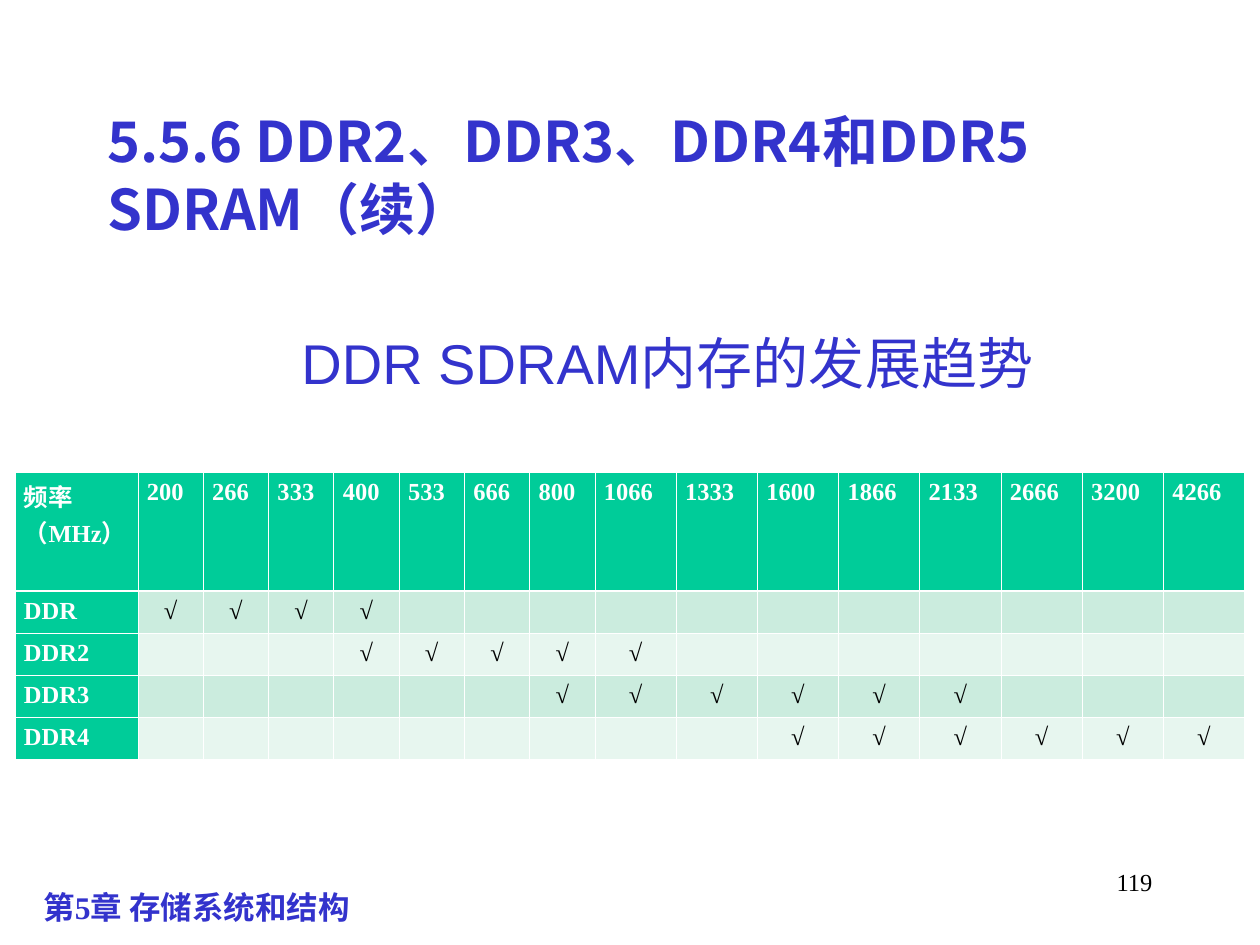
from dataclasses import dataclass

from lxml import etree
from pptx import Presentation
from pptx.dml.color import RGBColor
from pptx.enum.text import MSO_ANCHOR, PP_ALIGN
from pptx.oxml.ns import qn
from pptx.util import Emu, Pt

LEFT, CENTER, RIGHT, JUSTIFY = (
    PP_ALIGN.LEFT, PP_ALIGN.CENTER, PP_ALIGN.RIGHT, PP_ALIGN.JUSTIFY)
TOP, MIDDLE = MSO_ANCHOR.TOP, MSO_ANCHOR.MIDDLE


@dataclass(frozen=True)
class Theme:
    blue: str = "3333CC"
    black: str = "000000"
    white: str = "FFFFFF"
    header: str = "00CC99"
    bands: tuple = ("CBECDE", "E7F6EF")
    serif: str = "Times New Roman"
    sans: str = "Arial"
    cjk: str = "Noto Sans CJK JP"
    heading_size: int = 32
    chapter_size: int = 18
    small_size: int = 14
    thin: float = 0.45
    thick: float = 1.47


THEME = Theme()

# text, (left, top, width, height), size, font, colour, bold, align, anchor
TEXTS = [
    ("第5章 存储系统和结构", (31, 882, 735, 32), THEME.chapter_size,
     THEME.serif, THEME.blue, True, LEFT, TOP),
    ("119", (903, 861, 262, 63), THEME.small_size,
     THEME.serif, THEME.black, False, RIGHT, TOP),
    ("5.5.6 DDR2、DDR3、DDR4和DDR5 SDRAM（续）", (95, 95, 1071, 158),
     THEME.heading_size, THEME.cjk, THEME.blue, True, LEFT, MIDDLE),
    ("DDR SDRAM内存的发展趋势", (289, 322, 790, 81), THEME.heading_size,
     THEME.sans, THEME.blue, False, LEFT, TOP),
]

CORNER = "频率\n（MHz）"
FREQUENCIES = [200, 266, 333, 400, 533, 666, 800, 1066,
               1333, 1600, 1866, 2133, 2666, 3200, 4266]
# generation: (lowest, highest) supported frequency
GENERATIONS = {"DDR": (200, 400), "DDR2": (400, 1066),
               "DDR3": (800, 2133), "DDR4": (1600, 4266)}

TABLE_LEFT, TABLE_TOP = 15, 472
LABEL_WIDTH, THREE_DIGIT_WIDTH, FOUR_DIGIT_WIDTH = 123, 457, 650
HEADER_HEIGHT, ROW_HEIGHT = 119, 41
CELL_MARGIN = 9


def px(length):
    return Emu(length * 914400 // 126)


def format_text(frame, size, font, color, bold, align):
    for paragraph in frame.paragraphs:
        paragraph.alignment = align
        for run in paragraph.runs:
            run.font.size = Pt(size)
            run.font.name = font
            run.font.bold = bold
            run.font.color.rgb = RGBColor.from_string(color)
            if any(letter >= "\u3000" for letter in run.text):
                east_asian = etree.SubElement(run._r.get_or_add_rPr(), qn("a:ea"))
                east_asian.set("typeface", THEME.cjk)
        if not paragraph.runs:
            # An empty cell takes its line height from the end mark.
            end_mark = etree.SubElement(paragraph._p, qn("a:endParaRPr"))
            end_mark.set("sz", str(size * 100))


def set_borders(cell, row):
    widths = {"a:lnL": THEME.thin, "a:lnR": THEME.thin,
              "a:lnT": THEME.thick if row == 1 else THEME.thin,
              "a:lnB": THEME.thick if row == 0 else THEME.thin}
    properties = cell._tc.get_or_add_tcPr()
    for position, (side, width) in enumerate(widths.items()):
        line = etree.Element(qn(side), w=str(Pt(width)))
        fill = etree.SubElement(line, qn("a:solidFill"))
        etree.SubElement(fill, qn("a:srgbClr"), val=THEME.white)
        properties.insert(position, line)


def add_text(slide, text, box, size, font, color, bold, align, anchor):
    frame = slide.shapes.add_textbox(*map(px, box)).text_frame
    frame.text = text
    frame.word_wrap = True
    frame.vertical_anchor = anchor
    format_text(frame, size, font, color, bold, align)


def add_frequency_table(slide):
    rows = [[CORNER, *map(str, FREQUENCIES)]]
    for generation, (lowest, highest) in GENERATIONS.items():
        rows.append([generation] + ["√" if lowest <= frequency <= highest else ""
                                    for frequency in FREQUENCIES])

    short_count = sum(frequency < 1000 for frequency in FREQUENCIES)
    long_count = len(FREQUENCIES) - short_count
    widths = ([px(LABEL_WIDTH)]
              + [px(THREE_DIGIT_WIDTH) // short_count] * short_count
              + [px(FOUR_DIGIT_WIDTH) // long_count] * long_count)
    heights = [px(HEADER_HEIGHT)] + [px(ROW_HEIGHT)] * len(GENERATIONS)

    table = slide.shapes.add_table(
        len(rows), len(widths), px(TABLE_LEFT), px(TABLE_TOP),
        Emu(sum(widths)), Emu(sum(heights))).table
    for column, width in zip(table.columns, widths):
        column.width = Emu(width)
    for table_row, height in zip(table.rows, heights):
        table_row.height = height

    for row, values in enumerate(rows):
        for column, value in enumerate(values):
            cell = table.cell(row, column)
            heading = row == 0 or column == 0
            cell.text_frame.text = value
            cell.margin_left = cell.margin_right = px(CELL_MARGIN)
            cell.fill.solid()
            cell.fill.fore_color.rgb = RGBColor.from_string(
                THEME.header if heading else THEME.bands[(row - 1) % 2])
            set_borders(cell, row)
            format_text(cell.text_frame, THEME.small_size, THEME.serif,
                        THEME.white if heading else THEME.black,
                        heading, JUSTIFY if heading else CENTER)


def main():
    presentation = Presentation()
    presentation.slide_width, presentation.slide_height = px(1260), px(945)
    slide = presentation.slides.add_slide(presentation.slide_layouts[6])
    *page_texts, subtitle = TEXTS
    for text in page_texts:
        add_text(slide, *text)
    add_frequency_table(slide)
    add_text(slide, *subtitle)
    presentation.save("out.pptx")


if __name__ == "__main__":
    main()
